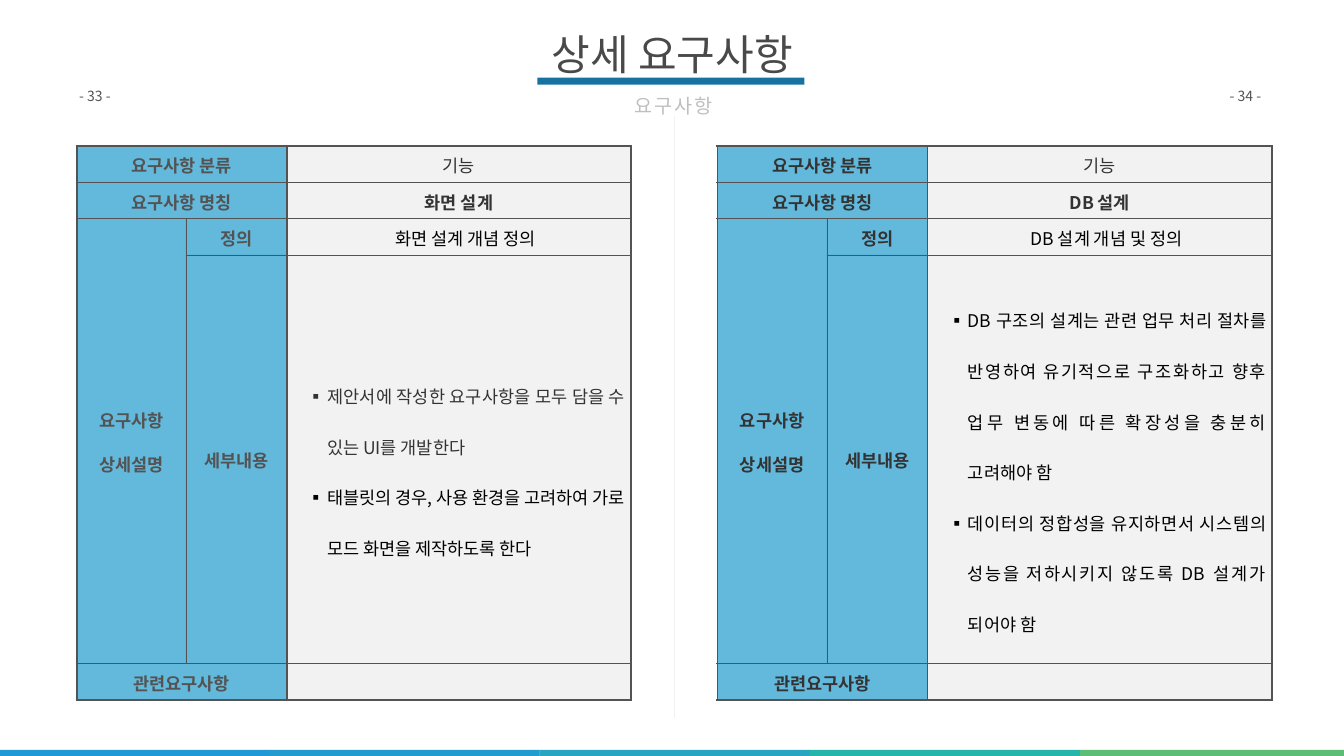
from lxml import etree
from pptx import Presentation
from pptx.dml.color import RGBColor
from pptx.enum.shapes import MSO_SHAPE
from pptx.enum.text import MSO_ANCHOR, MSO_AUTO_SIZE, PP_ALIGN
from pptx.oxml.ns import qn
from pptx.util import Emu, Inches, Pt

RECTANGLE = MSO_SHAPE.RECTANGLE
MIDDLE, TOP = MSO_ANCHOR.MIDDLE, MSO_ANCHOR.TOP
NO_AUTOFIT = MSO_AUTO_SIZE.NONE
LEFT, CENTER, JUSTIFY = PP_ALIGN.LEFT, PP_ALIGN.CENTER, PP_ALIGN.JUSTIFY

FONT = "Noto Sans CJK KR"
GRAY, DARK, BLACK, PALE, BLUE = "535353", "333333", "000000", "F2F2F2", "229CCE"
BAND_COLORS = ["1F98D8", BLUE, "27A5C1", "24B6AB", "5BBD76"]
SLIDE_WIDTH, SLIDE_HEIGHT = Inches(26.66), Inches(15)
COLUMNS = [2.17, 2, 6.83]
ROWS = [0.72, 0.72, 0.72, 8.11, 0.72]
TABLE_TOP, TABLE_WIDTH, TABLE_HEIGHT = 19.33, 41.3, 73.27


def color(value):
    return RGBColor.from_string(value)


def place(left, top, width, height):
    sizes = (SLIDE_WIDTH, SLIDE_HEIGHT) * 2
    shares = (left, top, width, height)
    return [Emu(round(size * share / 100)) for size, share in zip(sizes, shares)]


def add_bar(slide, box, fill, line=None):
    shape = slide.shapes.add_shape(RECTANGLE, *place(*box))
    shape.shadow.inherit = False
    shape.fill.solid()
    shape.fill.fore_color.rgb = color(fill)
    if line:
        shape.line.color.rgb = color(line)
        shape.line.width = Pt(1)
    else:
        shape.line.fill.background()


def format_run(run, size, text_color, bold=False, spacing=0):
    run.font.size = Pt(size)
    run.font.bold = bold
    run.font.color.rgb = color(text_color)
    run.font.name = FONT
    properties = run.font._element
    east_asian = etree.Element(qn("a:ea"), typeface=FONT)
    properties.find(qn("a:latin")).addnext(east_asian)
    if spacing:
        properties.set("spc", str(round(spacing * 100)))


def set_indent(paragraph, margin, indent):
    properties = paragraph._p.get_or_add_pPr()
    properties.set("marL", str(Inches(margin)))
    properties.set("indent", str(Inches(indent)))
    return properties


def fill_text(shape, text, size, text_color, align, anchor, insets, spacing=0):
    frame = shape.text_frame
    frame.text = text
    frame.word_wrap = True
    frame.auto_size = NO_AUTOFIT
    frame.vertical_anchor = anchor
    frame.margin_left = frame.margin_right = Inches(insets[0])
    frame.margin_top = frame.margin_bottom = Inches(insets[1])
    paragraph = frame.paragraphs[0]
    paragraph.alignment = align
    format_run(paragraph.runs[0], size, text_color, spacing=spacing)
    return frame


def add_text(slide, box, *style, **options):
    shape = slide.shapes.add_textbox(*place(*box))
    return fill_text(shape, *style, **options)


def add_title(slide, text):
    title = slide.shapes.title
    title.left, title.top, title.width, title.height = place(39.5, 2.93, 21, 8.27)
    fill_text(title, text, 60, "494949", CENTER, MIDDLE, (0.12, 0.12))


def set_borders(cell, row, column):
    last_row, last_column = len(ROWS) - 1, len(COLUMNS) - 1
    widths = {
        "lnL": {0: 3, last_column: 2.25}.get(column, 1),
        "lnR": {last_column: 3, last_column - 1: 2.25}.get(column, 1),
        "lnT": 3 if row == 0 else 1,
        "lnB": 3 if row == last_row else 1,
    }
    properties = cell._tc.get_or_add_tcPr()
    for index, (tag, width) in enumerate(widths.items()):
        line = etree.Element(qn(f"a:{tag}"), w=str(Pt(width)))
        fill = etree.SubElement(line, qn("a:solidFill"))
        etree.SubElement(fill, qn("a:srgbClr"), val=GRAY)
        properties.insert(index, line)


def style_cell(cell, row, column):
    is_value = column == len(COLUMNS) - 1
    cell.fill.solid()
    cell.fill.fore_color.rgb = color(PALE if is_value else BLUE)
    if not is_value:
        fill_color = cell._tc.tcPr.find(".//" + qn("a:srgbClr"))
        etree.SubElement(fill_color, qn("a:alpha"), val="70000")
    cell.vertical_anchor = MIDDLE
    cell.margin_left = cell.margin_right = Inches(0.01)
    cell.margin_top = cell.margin_bottom = Inches(0.01)
    set_borders(cell, row, column)


def write_cell(cell, text, text_color, bold=False):
    cell.text_frame.text = text
    for index, paragraph in enumerate(cell.text_frame.paragraphs):
        paragraph.alignment = CENTER
        paragraph.line_spacing = 1.07
        paragraph.space_before = Pt(12 if index else 0)
        paragraph.space_after = Pt(12)
        format_run(paragraph.runs[0], 25, text_color, bold)


def write_bullets(cell, bullets):
    cell.margin_right = Inches(0.12)
    frame = cell.text_frame
    for index, (text_color, pieces) in enumerate(bullets):
        paragraph = frame.add_paragraph() if index else frame.paragraphs[0]
        paragraph.alignment = JUSTIFY
        paragraph.line_spacing = 2.0
        properties = set_indent(paragraph, 0.79, -0.38)
        etree.SubElement(properties, qn("a:buFont"), typeface=FONT)
        etree.SubElement(properties, qn("a:buChar"), char="▪")
        for text, spacing in pieces:
            run = paragraph.add_run()
            run.text = text
            format_run(run, 25, text_color, spacing=spacing)


def add_requirement_table(slide, left, label_color, name, definition, bullets):
    box = place(left, TABLE_TOP, TABLE_WIDTH, TABLE_HEIGHT)
    table = slide.shapes.add_table(len(ROWS), len(COLUMNS), *box).table
    table.first_row = table.horz_banding = False
    for column, width in zip(table.columns, COLUMNS):
        column.width = Inches(width)
    for row, height in zip(table.rows, ROWS):
        row.height = Inches(height)
    for row in range(len(ROWS)):
        for column in range(len(COLUMNS)):
            style_cell(table.cell(row, column), row, column)
    for row in (0, 1, 4):
        table.cell(row, 0).merge(table.cell(row, 1))
    table.cell(2, 0).merge(table.cell(3, 0))
    labels = {
        (0, 0): "요구사항 분류",
        (1, 0): "요구사항 명칭",
        (2, 0): "요구사항\n상세설명",
        (2, 1): "정의",
        (3, 1): "세부내용",
        (4, 0): "관련요구사항",
    }
    for position, text in labels.items():
        write_cell(table.cell(*position), text, label_color, True)
    write_cell(table.cell(0, 2), "기능", DARK)
    write_cell(table.cell(1, 2), name, DARK, True)
    write_cell(table.cell(2, 2), definition, BLACK)
    set_indent(table.cell(2, 2).text_frame.paragraphs[0], 0.47, -0.21)
    write_bullets(table.cell(3, 2), bullets)


def main():
    presentation = Presentation()
    presentation.slide_width, presentation.slide_height = SLIDE_WIDTH, SLIDE_HEIGHT
    slide = presentation.slides.add_slide(presentation.slide_layouts[5])
    for index, fill in enumerate(BAND_COLORS):
        add_bar(slide, (-0.11 + index * 20.12, 99.2, 20.14, 1.33), fill)
    add_requirement_table(slide, 5.7, GRAY, "화면 설계", "화면 설계 개념 정의", [
        (DARK, [("제안서에 작성한 요구사항을 모두 담을 수 있는 UI를 개발한다", 0)]),
        (BLACK, [("태블릿의 경우, 사용 환경을 고려하여 가로 모드 화면을 제작하도록 한다", 0)]),
    ])
    add_bar(slide, (50.09, 15.3, 0.19, 79.73), PALE, "FFFFFF")
    add_requirement_table(slide, 53.38, DARK, "DB 설계", "DB 설계 개념 및 정의", [
        (BLACK, [("DB 구조의 설계는 관련 업무 처리 절차를 반영하여 유기적", -0.6),
                 ("으로 구조화하고 향후 업무 변동에 따른 확장성을 충분히", -0.3),
                 (" 고려해야 함", 0)]),
        (BLACK, [("데이터의 정합성을 유지하면서 시스템의 성능을 저하시키지", -0.7),
                 (" 않도록 DB 설계가 되어야 함", 0)]),
    ])
    for left, width, text in ((5.7, 3.53, "- 33 -"), (91.3, 3.38, "- 34 -")):
        add_text(slide, (left, 11.2, width, 2.93), text, 20, GRAY, LEFT, TOP, (0.05, 0.05))
    add_title(slide, "상세 요구사항")
    add_bar(slide, (39.98, 10.27, 19.88, 0.93), "1772A2")
    subtitle = add_text(slide, (46.25, 11, 7.69, 5.2), "요구사항", 28, "BFBFBF",
                        CENTER, TOP, (0.24, 0.12), spacing=3)
    subtitle.word_wrap = False
    subtitle.paragraphs[0].line_spacing = 1.2
    presentation.save("out.pptx")


if __name__ == "__main__":
    main()
